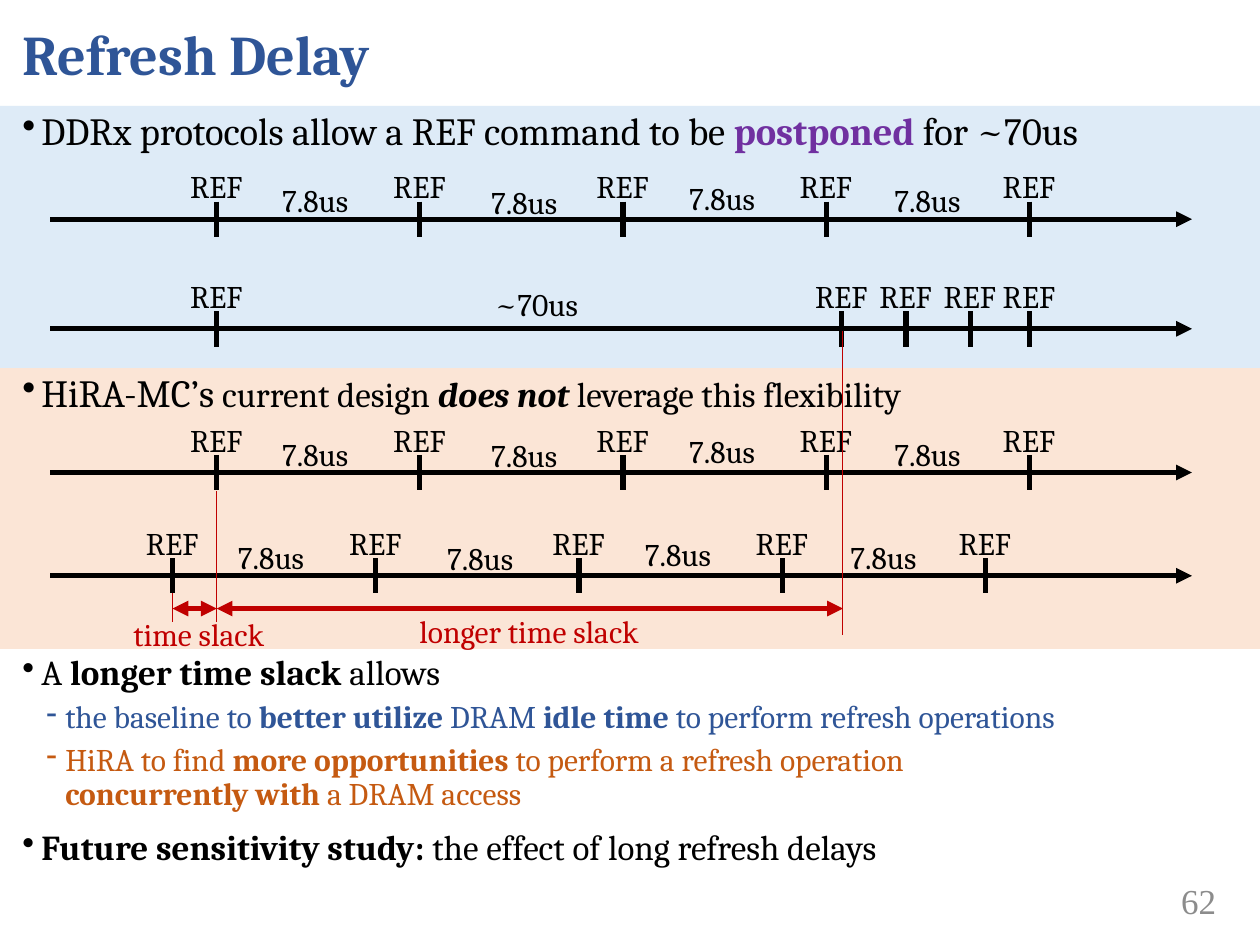
"""Build the Refresh Delay slide with its four command timelines."""
from lxml import etree
from pptx import Presentation
from pptx.dml.color import RGBColor
from pptx.enum import shapes, text
from pptx.oxml.ns import qn
from pptx.util import Inches, Pt

COLORS = {
    "black": "000000", "blue": "2F5597", "orange": "C55A11", "purple": "7030A0",
    "red": "C00000", "gray": "8C8C8C", "blue_band": "DEEBF7", "orange_band": "FBE5D6",
}
FONT = "Cambria"
FIRST_TICK, TICK_STEP, SHIFT = 1.72, 1.6125, 0.35
REGULAR_TICKS = [FIRST_TICK + TICK_STEP * index for index in range(5)]
POSTPONED_TICKS = [FIRST_TICK, 6.68, 7.19, 7.7, REGULAR_TICKS[-1]]
REGULAR_GAPS = [("7.8us", 2.14, 0.35), ("7.8us", 3.8, 0.34),
                ("7.8us", 5.37, 0.37), ("7.8us", 7, 0.35)]
POSTPONED_GAPS = [("~70us", 3.83, 0.4)]
LABEL_WIDTHS = {"REF": 0.69, "7.8us": 0.78, "~70us": 0.91, "time slack": 1.29}


def rgb(name):
    """Return the named colour."""
    return RGBColor.from_string(COLORS[name])


def style_font(font, size, color, bold=False, italic=False, name=FONT):
    """Set the look of a font."""
    font.name, font.size, font.bold, font.italic = name, Pt(size), bold, italic
    font.color.rgb = rgb(color)


def add_band(slide, top, height, color):
    """Add a full-width background band."""
    band = slide.shapes.add_shape(shapes.MSO_SHAPE.RECTANGLE, 0, Inches(top),
                                  Inches(10), Inches(height))
    band.shadow.inherit = False
    band.fill.solid()
    band.fill.fore_color.rgb = rgb(color)
    band.line.fill.background()


def add_title(slide, wording):
    """Place and format the title placeholder."""
    title = slide.shapes.title
    title.left, title.top = Inches(0.08), Inches(0)
    title.width, title.height = Inches(9.83), Inches(0.84)
    title.text_frame.text = wording
    title.text_frame.vertical_anchor = text.MSO_ANCHOR.MIDDLE
    paragraph = title.text_frame.paragraphs[0]
    paragraph.alignment = text.PP_ALIGN.LEFT
    style_font(paragraph.runs[0].font, 32, "blue", bold=True)


def add_bullet(paragraph, mark, indent):
    """Give a paragraph a hanging bullet."""
    properties = paragraph._p.get_or_add_pPr()
    properties.set("marL", str(Inches(indent)))
    properties.set("indent", str(Inches(-0.15)))
    etree.SubElement(properties, qn("a:buChar")).set("char", mark)


def add_bullets(slide, top, height, items):
    """Add a box of bullets, each a level and a list of styled pieces."""
    box = slide.shapes.add_textbox(Inches(0.08), Inches(top), Inches(9.83), Inches(height))
    frame = box.text_frame
    frame.word_wrap = True
    for index, (level, pieces) in enumerate(items):
        paragraph = frame.add_paragraph() if index else frame.paragraphs[0]
        paragraph.level = level
        add_bullet(paragraph, "-" if level else "•", 0.34 if level else 0.15)
        paragraph.line_spacing = 0.9
        paragraph.space_before = Pt((5 if level else 10) if index else 0)
        for wording, size, color, *emphasis in pieces:
            if wording == "\n":
                paragraph.add_line_break()
                continue
            run = paragraph.add_run()
            run.text = wording
            style_font(run.font, size, color, "bold" in emphasis, "italic" in emphasis)


def add_label(slide, wording, left, top, color="black", width=None):
    """Add a one-line label, centred when a width is given."""
    box = slide.shapes.add_textbox(Inches(left), Inches(top),
                                   Inches(width or LABEL_WIDTHS[wording]), Inches(0.4))
    frame = box.text_frame
    frame.text = wording
    frame.word_wrap = width is not None
    frame.auto_size = text.MSO_AUTO_SIZE.SHAPE_TO_FIT_TEXT
    paragraph = frame.paragraphs[0]
    paragraph.alignment = text.PP_ALIGN.CENTER if width else text.PP_ALIGN.LEFT
    style_font(paragraph.runs[0].font, 18, color)


def add_line(slide, start, end, color="black", weight=3, arrows=()):
    """Add a straight line with the given arrowheads."""
    line = slide.shapes.add_connector(shapes.MSO_CONNECTOR.STRAIGHT,
                                      *map(Inches, start + end))
    line.line.color.rgb = rgb(color)
    line.line.width = Pt(weight)
    for arrow in arrows:
        etree.SubElement(line.line._get_or_add_ln(), qn(f"a:{arrow}")).set("type", "triangle")
    etree.SubElement(line._element.spPr, qn("a:effectLst"))


def add_timeline(slide, axis, ticks, gaps, shift=0):
    """Add a time axis with REF ticks and interval labels."""
    add_line(slide, (0.4, axis), (9.46, axis), arrows=["tailEnd"])
    for tick in ticks:
        add_line(slide, (tick - shift, axis - 0.14), (tick - shift, axis + 0.14))
        add_label(slide, "REF", tick - shift - 0.31, axis - 0.46)
    for wording, left, rise in gaps:
        add_label(slide, wording, left - shift, axis - rise)


def add_slacks(slide):
    """Mark the short and the long time slack."""
    early, late = FIRST_TICK - SHIFT, 6.69
    for x, top, bottom in [(FIRST_TICK, 3.9, 4.94), (early, 4.71, 4.94), (late, 2.63, 5.04)]:
        add_line(slide, (x, top), (x, bottom), "red", 0.5)
    for left, right in [(early, FIRST_TICK), (FIRST_TICK, late)]:
        add_line(slide, (left, 4.83), (right, 4.83), "red", arrows=["headEnd", "tailEnd"])
    add_label(slide, "time slack", 0.96, 4.83, "red")
    add_label(slide, "longer time slack", FIRST_TICK, 4.81, "red", width=4.96)


def add_page_number(slide, number):
    """Add the page number at the lower right."""
    box = slide.shapes.add_textbox(Inches(8.67), Inches(6.95), Inches(1.08), Inches(0.4))
    box.text_frame.text = number
    box.text_frame.vertical_anchor = text.MSO_ANCHOR.MIDDLE
    paragraph = box.text_frame.paragraphs[0]
    paragraph.alignment = text.PP_ALIGN.RIGHT
    style_font(paragraph.runs[0].font, 20, "gray", name="Times New Roman")


def main():
    """Build and save the slide."""
    presentation = Presentation()
    presentation.slide_width, presentation.slide_height = Inches(10), Inches(7.5)
    slide = presentation.slides.add_slide(presentation.slide_layouts[5])
    add_band(slide, 2.92, 2.23, "orange_band")
    add_band(slide, 0.84, 2.08, "blue_band")
    add_title(slide, "Refresh Delay")
    add_bullets(slide, 0.84, 0.5, [
        (0, [("DDRx protocols allow a REF command to be ", 22, "black"),
             ("postponed", 22, "purple", "bold"), (" for ~70us", 22, "black")]),
    ])
    add_bullets(slide, 2.92, 0.5, [
        (0, [("HiRA-MC’s", 22, "black"), (" current design ", 20, "black"),
             ("does not ", 20, "black", "bold", "italic"),
             ("leverage this flexibility", 20, "black")]),
    ])
    add_bullets(slide, 5.15, 1.8, [
        (0, [("A ", 20, "black"), ("longer time slack ", 20, "black", "bold"),
             ("allows", 20, "black")]),
        (1, [("the baseline to ", 18, "blue"), ("better utilize", 18, "blue", "bold"),
             (" DRAM ", 18, "blue"), ("idle time ", 18, "blue", "bold"),
             ("to perform refresh operations", 18, "blue")]),
        (1, [("HiRA to find ", 18, "orange"), ("more opportunities ", 18, "orange", "bold"),
             ("to perform a refresh operation ", 18, "orange"), ("\n", 18, "orange"),
             ("concurrently with", 18, "orange", "bold"), (" a DRAM access", 18, "orange")]),
        (0, [("Future sensitivity study:", 20, "black", "bold"),
             (" the effect of long refresh delays", 20, "black")]),
    ])
    add_timeline(slide, 1.74, REGULAR_TICKS, REGULAR_GAPS)
    add_timeline(slide, 2.61, POSTPONED_TICKS, POSTPONED_GAPS)
    add_timeline(slide, 3.75, REGULAR_TICKS, REGULAR_GAPS)
    add_timeline(slide, 4.57, REGULAR_TICKS, REGULAR_GAPS, SHIFT)
    add_slacks(slide)
    add_page_number(slide, "62")
    presentation.save("out.pptx")


if __name__ == "__main__":
    main()
